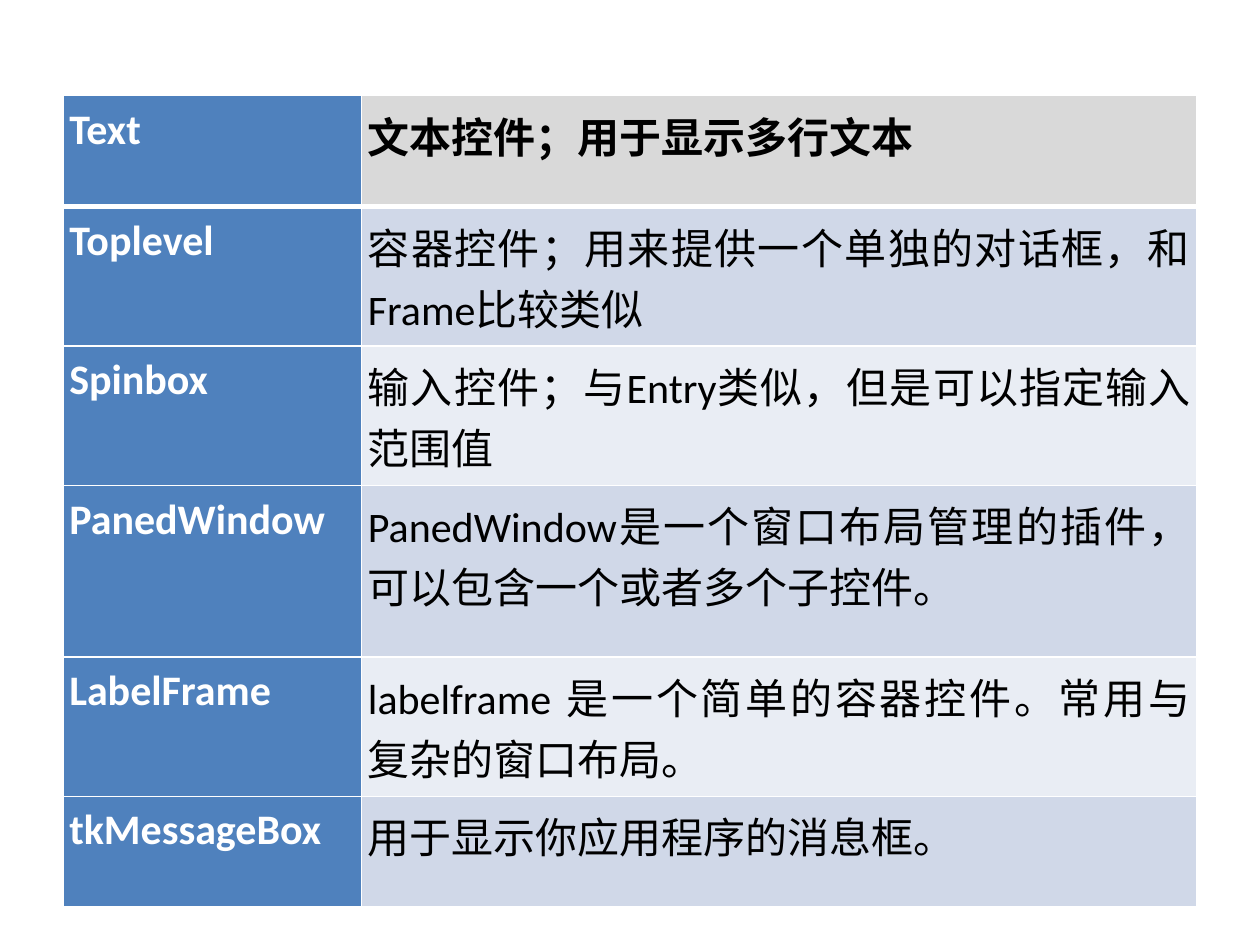
import pptx
import pptx.dml.color
import pptx.enum.text
import pptx.oxml
import pptx.oxml.ns
import pptx.util

Inches = pptx.util.Inches
Pt = pptx.util.Pt
RGB = pptx.dml.color.RGBColor

WHITE = RGB(0xFF, 0xFF, 0xFF)
BLACK = RGB(0x00, 0x00, 0x00)
BLUE = RGB(0x4F, 0x81, 0xBD)
GREY = RGB(0xD9, 0xD9, 0xD9)
BANDS = [RGB(0xE9, 0xED, 0xF4), RGB(0xD0, 0xD8, 0xE8)]

WIDGETS = [
    ("Text", "文本控件；用于显示多行文本"),
    ("Toplevel", "容器控件；用来提供一个单独的对话框，和Frame比较类似"),
    ("Spinbox", "输入控件；与Entry类似，但是可以指定输入范围值"),
    ("PanedWindow", "PanedWindow是一个窗口布局管理的插件，可以包含一个或者多个子控件。"),
    ("LabelFrame", "labelframe 是一个简单的容器控件。常用与复杂的窗口布局。"),
    ("tkMessageBox", "用于显示你应用程序的消息框。"),
]
WIDTHS = [2.37, 6.63]
HEIGHTS = [0.88, 0.88, 0.88, 1.36, 0.88, 0.88]


def edge(cell, sides):
    """Draw white borders; sides maps L, R, T, B to a width in points."""
    props = cell._tc.get_or_add_tcPr()
    space = pptx.oxml.ns.nsdecls("a")
    for spot, (side, width) in enumerate(sides.items()):
        line = pptx.oxml.parse_xml(
            f'<a:ln{side} {space} w="{Pt(width)}"><a:solidFill>'
            f'<a:srgbClr val="{WHITE}"/></a:solidFill></a:ln{side}>')
        props.insert(spot, line)


def write(cell, text, fill, color, bold):
    cell.margin_left = cell.margin_right = Inches(0.05)
    cell.margin_top = cell.margin_bottom = Inches(0.07)
    cell.fill.solid()
    cell.fill.fore_color.rgb = fill
    cell.text = text
    para = cell.text_frame.paragraphs[0]
    para.alignment = pptx.enum.text.PP_ALIGN.JUSTIFY
    para.font.name = "Calibri"
    para.font.size = Pt(24)
    para.font.bold = bold
    para.font.color.rgb = color


def main():
    deck = pptx.Presentation()
    deck.slide_width, deck.slide_height = Inches(10), Inches(7.5)
    slide = deck.slides.add_slide(deck.slide_layouts[6])
    table = slide.shapes.add_table(
        len(WIDGETS), len(WIDTHS), Inches(0.5), Inches(0.76),
        Inches(sum(WIDTHS)), Inches(sum(HEIGHTS))).table
    for col, width in zip(table.columns, WIDTHS):
        col.width = Inches(width)
    for i, (name, note) in enumerate(WIDGETS):
        table.rows[i].height = Inches(HEIGHTS[i])
        head = i == 0
        left, right = table.cell(i, 0), table.cell(i, 1)
        write(left, name, BLUE, WHITE, True)
        write(right, note, GREY if head else BANDS[i % 2], BLACK, head)
        for cell in (left, right):
            edge(cell, {"L": 1, "R": 1, "T": 3 if i == 1 else 1,
                        "B": 3 if head else 1})
    deck.save("out.pptx")


if __name__ == "__main__":
    main()
